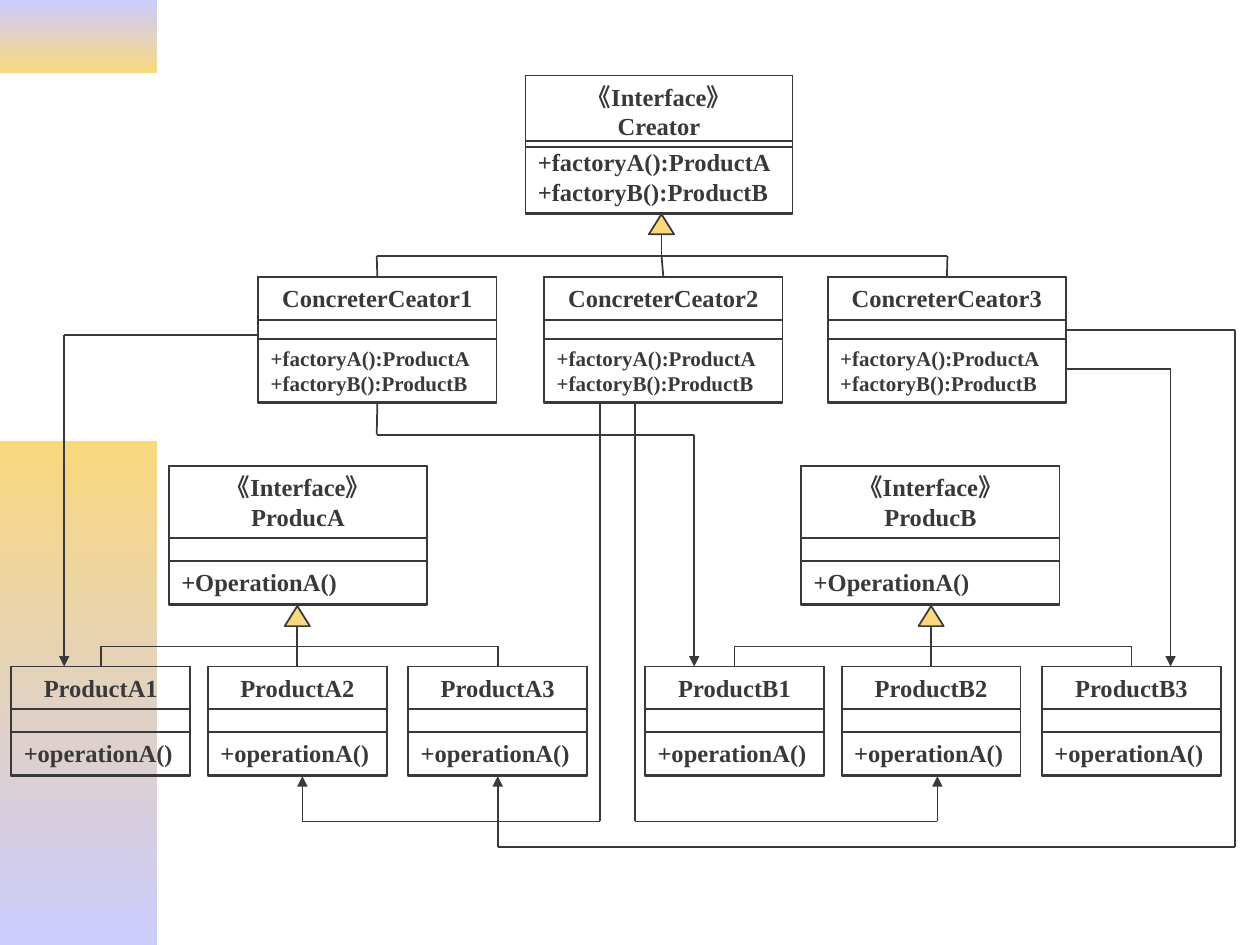
"""Build a slide with the class diagram of the abstract factory pattern."""
from lxml.etree import SubElement
from pptx import Presentation
from pptx.dml.color import RGBColor
from pptx.enum.shapes import MSO_CONNECTOR as Connector, MSO_SHAPE as Preset
from pptx.enum.text import MSO_ANCHOR as Anchor, MSO_AUTO_SIZE as AutoSize, PP_ALIGN as Align
from pptx.oxml.ns import qn
from pptx.util import Inches, Pt

COLORS = {"ink": "393939", "gold": "F9D87E", "lilac": "CCCCFF"}
FONT = "Times New Roman"
FACTORIES = "+factoryA():ProductA +factoryB():ProductB"

presentation = Presentation()
presentation.slide_width, presentation.slide_height = Inches(10), Inches(7.5)
slide = presentation.slides.add_slide(presentation.slide_layouts[6])


def add_box(text, *, left, top, width, height, preset=Preset.RECTANGLE,
            fill=None, size=14, align=Align.LEFT):
    shape = slide.shapes.add_shape(preset, Inches(left), Inches(top), Inches(width), Inches(height))
    shape.shadow.inherit = False
    shape.line.color.rgb = RGBColor.from_string(COLORS["ink"])
    shape.line.width = Pt(1)
    if fill:
        shape.fill.solid()
        shape.fill.fore_color.rgb = RGBColor.from_string(COLORS[fill])
    else:
        shape.fill.background()
    if text:
        frame = shape.text_frame
        frame.word_wrap = True
        frame.auto_size = AutoSize.SHAPE_TO_FIT_TEXT
        frame.vertical_anchor = Anchor.TOP
        frame.text = text
        paragraph = frame.paragraphs[0]
        paragraph.alignment = align
        font = paragraph.runs[0].font
        for run in paragraph.runs:
            font = run.font
            font.name, font.size, font.bold = FONT, Pt(size), True
            font.color.rgb = RGBColor.from_string(COLORS["ink"])
    return shape


def add_line(start, end, arrow=False):
    line = slide.shapes.add_connector(Connector.STRAIGHT, *map(Inches, start + end))
    line.line.color.rgb = RGBColor.from_string(COLORS["ink"])
    line.line.width = Pt(1)
    if arrow:
        SubElement(line.line._get_or_add_ln(), qn("a:tailEnd"), type="triangle")
    SubElement(line._element.spPr, qn("a:effectLst"))
    return line


for top, height, first, last in [(0, 0.58, "lilac", "gold"), (3.5, 4, "gold", "lilac")]:
    band = slide.shapes.add_shape(Preset.RECTANGLE, 0, Inches(top), Inches(1.25), Inches(height))
    band.shadow.inherit = False
    band.line.fill.background()
    band.fill.gradient()
    band.fill.gradient_angle = 270
    for stop, position, color in zip(band.fill.gradient_stops, (0, 1), (first, last)):
        stop.position = position
        stop.color.rgb = RGBColor.from_string(COLORS[color])

classes = [("《Interface》\vCreator", 4.17, 0.6, 2.12, 1.1, 0.57, FACTORIES, 0.57, 14)]
for number, left in enumerate((2.05, 4.32, 6.57), 1):
    classes.append((f"ConcreterCeator{number}", left, 2.2, 1.89, 1, 0.34, FACTORIES, 0.5, 12))
for family, parent_left, first_left in [("A", 1.34, 0.09), ("B", 6.36, 5.12)]:
    classes.append((f"《Interface》\vProduc{family}", parent_left, 3.7, 2.05, 1.1, 0.57,
                    "+OperationA()", 0.34, 14))
    for number, offset in enumerate((0, 1.56, 3.15), 1):
        classes.append((f"Product{family}{number}", first_left + offset, 5.29, 1.42, 0.87, 0.34,
                        "+operationA()", 0.34, 14))

frames = {}
for name, left, top, width, height, name_height, operations, operations_height, size in classes:
    frames[name] = add_box("", left=left, top=top, width=width, height=height)
    add_box(name, left=left, top=top, width=width, height=name_height, align=Align.CENTER)
    add_box(operations, left=left, top=top + height - operations_height - 0.01,
            width=width, height=operations_height, size=size)

trees = [("ConcreterCeator", (2.99, 5.25, 7.52), 1.7, 2.03, 2.2),
         ("ProductA", (0.8, 2.36, 3.95), 4.81, 5.13, 5.29),
         ("ProductB", (5.83, 7.39, 8.98), 4.81, 5.13, 5.29)]
for prefix, centers, top, bus, child_top in trees:
    add_box("", left=centers[1] - 0.1, top=top, width=0.2, height=0.16,
            preset=Preset.FLOWCHART_EXTRACT, fill="gold")
    add_line((centers[1], top + 0.16), (centers[1], bus))
    add_line((centers[0], bus), (centers[2], bus))
    for number, center in enumerate(centers, 1):
        drop = add_line((center, bus), (center, child_top))
        drop.end_connect(frames[f"{prefix}{number}"], 0)

routes = [
    (None, [(2.05, 2.66), (0.51, 2.66), (0.51, 5.29)], None),
    ("ConcreterCeator1", [(2.99, 3.2), (2.99, 3.45), (5.51, 3.45), (5.51, 5.29)], None),
    (None, [(4.76, 3.2), (4.76, 6.52), (2.4, 6.52), (2.4, 6.16)], None),
    (None, [(5.04, 3.2), (5.04, 6.52), (7.44, 6.52), (7.44, 6.16)], None),
    (None, [(8.46, 2.93), (9.29, 2.93), (9.29, 5.29)], None),
    (None, [(8.46, 2.62), (9.8, 2.62), (9.8, 6.72), (3.95, 6.72), (3.95, 6.16)], "ProductA3"),
]
for source, points, target in routes:
    segments = [add_line(start, end, arrow=end == points[-1])
                for start, end in zip(points, points[1:])]
    if source:
        segments[0].begin_connect(frames[source], 2)
    if target:
        segments[-1].end_connect(frames[target], 2)

presentation.save("out.pptx")
